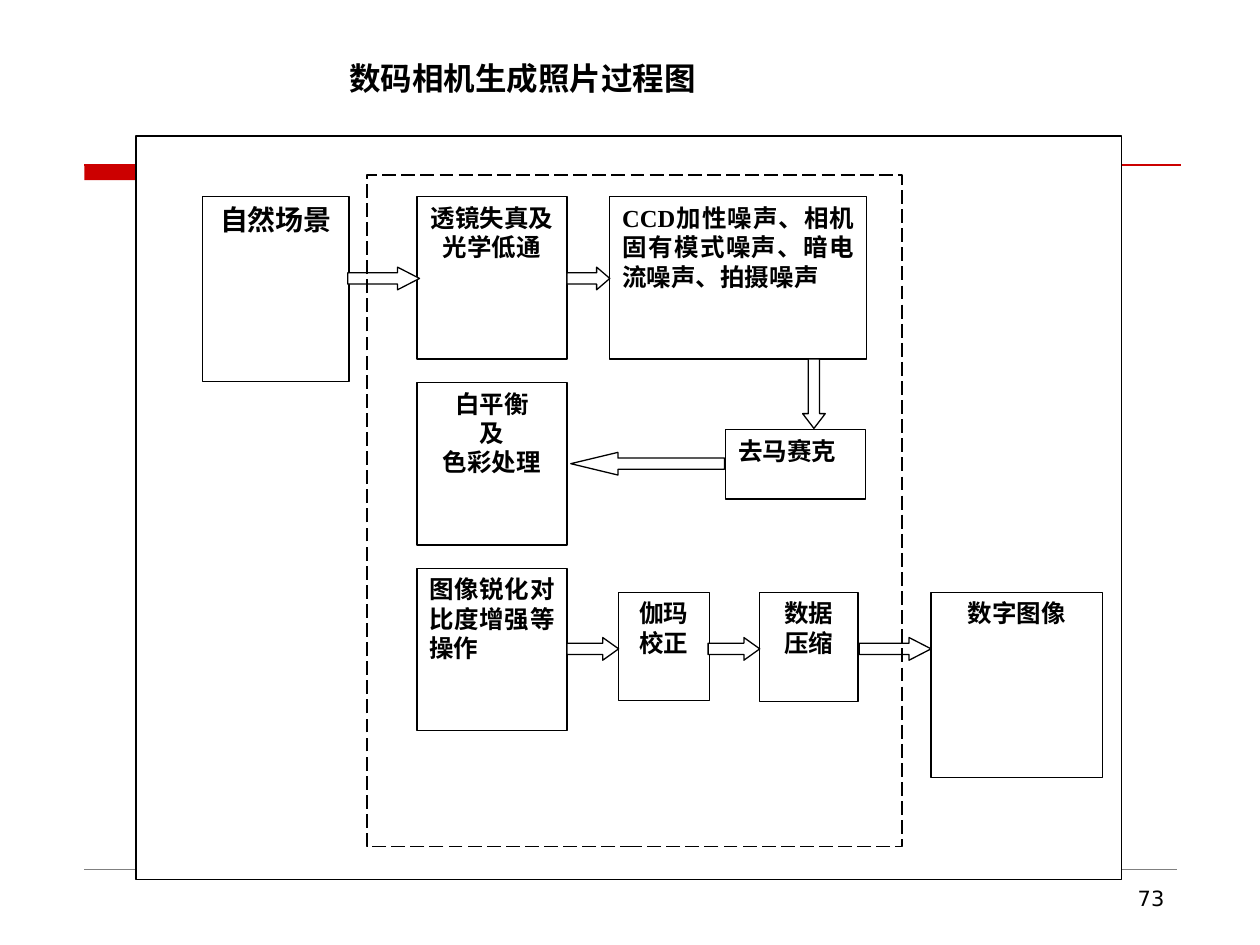
"""Build a slide with the flow chart of how a digital camera produces a photo."""
from lxml import etree
from pptx import Presentation
from pptx.dml.color import RGBColor
from pptx.enum.dml import MSO_LINE
from pptx.enum.shapes import MSO_CONNECTOR, MSO_SHAPE
from pptx.enum.text import MSO_ANCHOR, MSO_AUTO_SIZE, PP_ALIGN
from pptx.oxml.ns import qn
from pptx.util import Inches, Pt

RECT = MSO_SHAPE.RECTANGLE
RIGHT, LEFT, DOWN = MSO_SHAPE.RIGHT_ARROW, MSO_SHAPE.LEFT_ARROW, MSO_SHAPE.DOWN_ARROW
CENTER, JUSTIFY = PP_ALIGN.CENTER, PP_ALIGN.JUSTIFY
BLACK, WHITE, RED, GREY = "000000", "FFFFFF", "CC0000", "808080"


def add_block(kind, place, fill=WHITE, line=BLACK):
    block = slide.shapes.add_shape(kind, *map(Inches, place))
    block.shadow.inherit = False
    if fill:
        block.fill.solid()
        block.fill.fore_color.rgb = RGBColor.from_string(fill)
    else:
        block.fill.background()
    if line:
        block.line.color.rgb = RGBColor.from_string(line)
        block.line.width = Pt(0.75)
    else:
        block.line.fill.background()
    return block


def write(frame, lines, size, align, font="Times New Roman", bold=True):
    frame.text = "\n".join(lines)
    font_format = {"name": font, "size": Pt(size), "bold": bold}
    for paragraph in frame.paragraphs:
        paragraph.alignment = align
        for attribute, value in font_format.items():
            setattr(paragraph.font, attribute, value)
        paragraph.font.color.rgb = RGBColor.from_string(BLACK)


prs = Presentation()
prs.slide_width, prs.slide_height = Inches(10), Inches(7.5)
slide = prs.slides.add_slide(prs.slide_layouts[5])

title = slide.shapes.title
title_format = {"left": 2.67, "top": 0.42, "width": 3.03, "height": 0.4}
for attribute, value in title_format.items():
    setattr(title, attribute, Inches(value))
write(title.text_frame, ["数码相机生成照片过程图"], 18, PP_ALIGN.LEFT, "DejaVu Sans")
frame_format = {"word_wrap": False, "auto_size": MSO_AUTO_SIZE.SHAPE_TO_FIT_TEXT,
                "vertical_anchor": MSO_ANCHOR.MIDDLE}
for attribute, value in frame_format.items():
    setattr(title.text_frame, attribute, value)

add_block(RECT, (0.67, 1.31, 5.09, 0.12), RED, None)
for end, y, color, width in [(9.37, 1.31, RED, 0.75), (9.34, 6.9, GREY, 0.25)]:
    rule = slide.shapes.add_connector(
        MSO_CONNECTOR.STRAIGHT, Inches(0.67), Inches(y), Inches(end), Inches(y))
    rule.line.color.rgb = RGBColor.from_string(color)
    rule.line.width = Pt(width)
    etree.SubElement(rule._element.spPr, qn("a:effectLst"))

page_number = slide.shapes.add_textbox(
    Inches(7.17), Inches(6.98), Inches(2.17), Inches(0.37))
page_number.text_frame.word_wrap = True
write(page_number.text_frame, ["73"], 12, PP_ALIGN.RIGHT, "DejaVu Sans", False)

add_block(RECT, (1.08, 1.08, 7.82, 5.9))

column, row_top, row_step = 3.31, 1.56, 1.475
stage_width, stage_height = 1.19, 1.29
stages = [
    (1.61, row_top, 1.16, 1.47, 16, CENTER, ["自然场景"]),
    (column, row_top, stage_width, stage_height, 14, CENTER, ["透镜失真及", "光学低通"]),
    (4.84, row_top, 2.04, stage_height, 14, JUSTIFY,
     ["CCD加性噪声、相机固有模式噪声、暗电流噪声、拍摄噪声"]),
    (5.76, 3.41, 1.11, 0.55, 14, JUSTIFY, ["去马赛克"]),
    (column, row_top + row_step, stage_width, stage_height, 14, CENTER,
     ["白平衡", "及", "色彩处理"]),
    (column, row_top + 2 * row_step, stage_width, stage_height, 14, JUSTIFY,
     ["图像锐化对比度增强等操作"]),
    (4.91, 4.7, 0.72, 0.86, 14, CENTER, ["伽玛", "校正"]),
    (6.03, 4.7, 0.78, 0.87, 14, CENTER, ["数据", "压缩"]),
    (7.39, 4.7, 1.36, 1.47, 14, CENTER, ["数字图像"]),
]
for *place, size, align, lines in stages:
    stage = add_block(RECT, place).text_frame
    stage.word_wrap = True
    stage.vertical_anchor = MSO_ANCHOR.TOP
    write(stage, lines, size, align)

thickness = 0.18
arrows = [
    (RIGHT, 2.76, 2.12, 0.57, thickness, 0.97),
    (RIGHT, 4.5, 2.12, 0.34, thickness, 0.58),
    (DOWN, 6.37, 2.85, thickness, 0.55, 0.65),
    (LEFT, 4.53, 3.59, 1.22, thickness, 2.08),
    (RIGHT, 4.5, 5.06, 0.41, thickness, 0.7),
    (RIGHT, 5.62, 5.06, 0.41, thickness, 0.7),
    (RIGHT, 6.82, 5.06, 0.57, thickness, 0.97),
]
for kind, *place, head in arrows:
    arrow = add_block(kind, place)
    arrow.adjustments[0] = 0.5
    arrow.adjustments[1] = head

camera = add_block(RECT, (2.91, 1.39, 4.25, 5.33), None)
camera.line.width = Pt(1)
camera.line.dash_style = MSO_LINE.LONG_DASH

prs.save("out.pptx")
